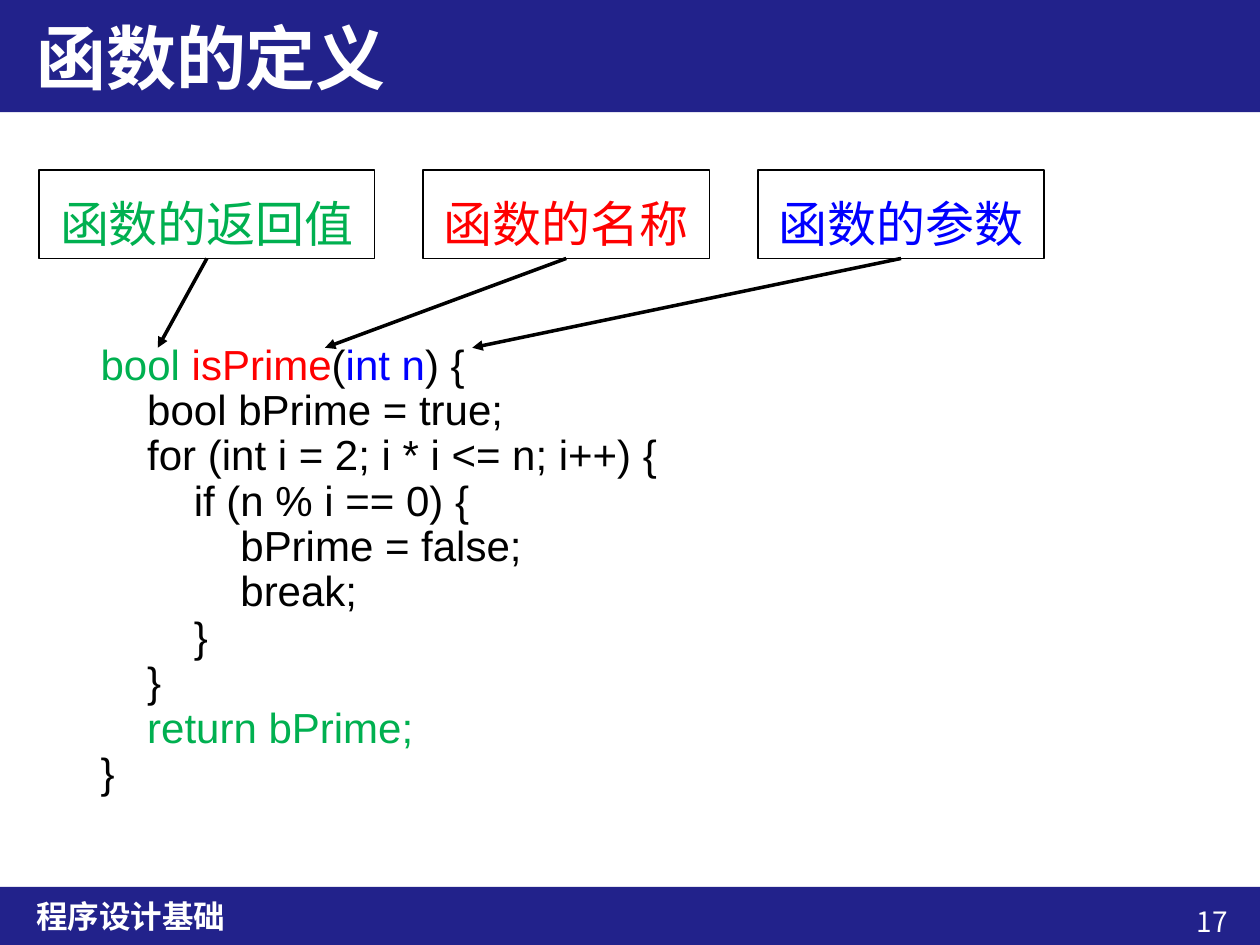
from lxml import etree
from pptx import Presentation
from pptx.dml import color as dml
from pptx.enum import shapes, text
from pptx.oxml import ns
from pptx.util import Cm, Pt

WIDTH, HEIGHT = 25.4, 19.05
NAVY, WHITE, BLACK = "22228B", "FFFFFF", "000000"
GREEN, RED, BLUE = "00B050", "FF0000", "0000FF"
CJK, LATIN = "Noto Sans CJK SC", "Arial"
ALIGN, ANCHOR = text.PP_ALIGN, text.MSO_ANCHOR


def rgb(value):
    return dml.RGBColor.from_string(value)


def add_child(parent, tag, **attributes):
    return etree.SubElement(parent, ns.qn(tag), attributes)


class SlideBuilder:
    def __init__(self, slide):
        self.shapes = slide.shapes

    def rectangle(self, left, top, width, height, fill=None, line=None):
        shape = self.shapes.add_shape(
            shapes.MSO_SHAPE.RECTANGLE, Cm(left), Cm(top), Cm(width), Cm(height))
        shape.shadow.inherit = False
        if fill:
            shape.fill.solid()
            shape.fill.fore_color.rgb = rgb(fill)
        else:
            shape.fill.background()
        if line:
            shape.line.color.rgb = rgb(line)
            shape.line.width = Pt(0.75)
        else:
            shape.line.fill.background()
        return shape

    def set_text(self, shape, lines, size, font=CJK, bold=False,
                 align=ALIGN.LEFT, anchor=ANCHOR.TOP, spacing=1.0):
        """Fill a shape with lines, each a list of (words, colour) pairs."""
        frame = shape.text_frame
        frame.word_wrap = True
        frame.vertical_anchor = anchor
        for index, line in enumerate(lines):
            paragraph = frame.add_paragraph() if index else frame.paragraphs[0]
            paragraph.alignment = align
            paragraph.line_spacing = spacing
            for words, colour in line:
                run = paragraph.add_run()
                run.text = words
                for key, value in {"size": Pt(size), "bold": bold, "name": font}.items():
                    setattr(run.font, key, value)
                run.font.color.rgb = rgb(colour)
                add_child(run.font._element, "a:ea", typeface=font)

    def textbox(self, left, top, width, height, lines, size, **style):
        box = self.shapes.add_textbox(Cm(left), Cm(top), Cm(width), Cm(height))
        self.set_text(box, lines, size, **style)

    def label(self, left, top, width, height, words, colour):
        box = self.rectangle(left, top, width, height, line=BLACK)
        self.set_text(box, [[(words, colour)]], 28, align=ALIGN.CENTER, spacing=1.3)
        return box

    def arrow_from(self, box, x, y):
        """Draw an arrow from the bottom middle of a box to a point."""
        arrow = self.shapes.add_connector(
            shapes.MSO_CONNECTOR.STRAIGHT, 0, 0, Cm(x), Cm(y))
        arrow.begin_connect(box, 2)
        arrow.line.color.rgb = rgb(BLACK)
        arrow.line.width = Pt(2)
        add_child(arrow.line._get_or_add_ln(), "a:tailEnd", type="triangle")
        add_child(arrow._element.spPr, "a:effectLst")


SIGNATURE = [("bool ", GREEN), ("isPrime", RED), ("(", BLACK),
             ("int n", BLUE), (") {", BLACK)]
BODY = """\
    bool bPrime = true;
    for (int i = 2; i * i <= n; i++) {
        if (n % i == 0) {
            bPrime = false;
            break;
        }
    }
    return bPrime;
}"""
# label, colour, box width, x of the arrow tip
PARTS = [("函数的返回值", GREEN, 6.76, 3.18),
         ("函数的名称", RED, 5.77, 6.55),
         ("函数的参数", BLUE, 5.77, 9.52)]


def main():
    prs = Presentation()
    prs.slide_width, prs.slide_height = Cm(WIDTH), Cm(HEIGHT)
    page = SlideBuilder(prs.slides.add_slide(prs.slide_layouts[6]))

    header_height, footer_height = 2.26, 1.17
    footer_top = HEIGHT - footer_height
    bands = [(0, header_height, "函数的定义", 40),
             (footer_top, footer_height, "程序设计基础", 18)]
    for top, height, heading, size in bands:
        page.rectangle(0, top, WIDTH, height, fill=NAVY)
        page.textbox(0.48, top, 24.38, height, [[(heading, WHITE)]], size,
                     bold=True, anchor=ANCHOR.MIDDLE)
    page.textbox(21.82, 18.11, 3.18, 0.94, [[("17", WHITE)]], 16, align=ALIGN.RIGHT)

    code = [SIGNATURE] + [[(line, GREEN if "return" in line else BLACK)]
                          for line in BODY.split("\n")]
    page.textbox(1.78, 6.81, 21.59, 9.73, code, 24, font=LATIN, spacing=0.9)

    left, gap = 0.79, 0.98
    for words, colour, width, tip in PARTS:
        box = page.label(left, 3.43, width, 1.78, words, colour)
        page.arrow_from(box, tip, 7.01)
        left += width + gap

    prs.save("out.pptx")


if __name__ == "__main__":
    main()
